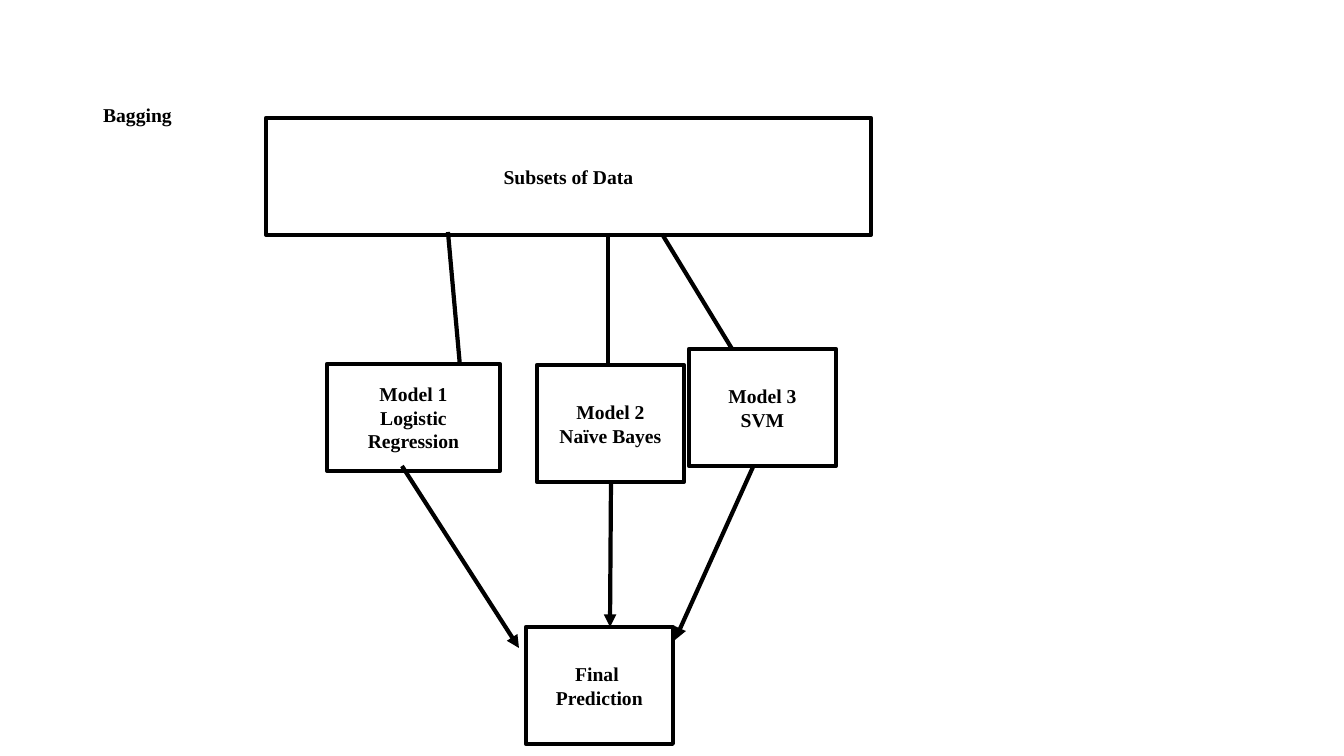
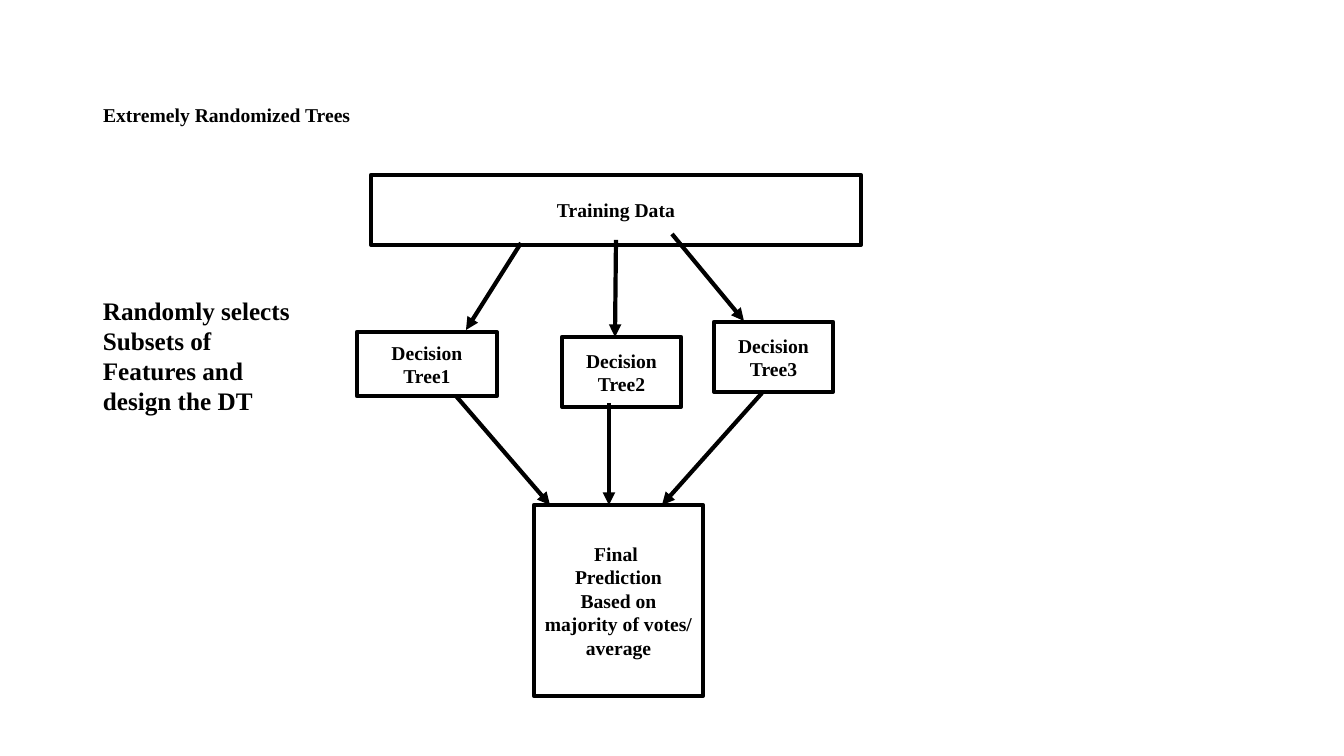
from dataclasses import dataclass

from lxml import etree
from pptx import Presentation
from pptx.dml.color import RGBColor
from pptx.enum import shapes, text
from pptx.oxml import ns
from pptx.util import Pt

PX = 914400 / 100.8  # EMU per pixel


@dataclass(frozen=True)
class Theme:
    """Colours, font and sizes shared by the slides."""
    ink: RGBColor = RGBColor(0, 0, 0)
    paper: RGBColor = RGBColor(255, 255, 255)
    font: str = "Times New Roman"
    size: int = 14
    note_size: int = 18
    line: int = 3
    title_line: int = 1
    title_box: tuple = (93, 43, 1159, 146)


theme = Theme()


def emu(*pixels):
    """Turn pixel lengths into whole EMU."""
    return [round(v * PX) for v in pixels]


def write(sp, words, size=theme.size, align=text.PP_ALIGN.CENTER,
          anchor=text.MSO_ANCHOR.MIDDLE, spacing=1.0):
    """Fill a shape with bold text, one paragraph per line of words."""
    tf = sp.text_frame
    tf.text = words
    tf.word_wrap = True
    tf.auto_size = text.MSO_AUTO_SIZE.NONE
    tf.vertical_anchor = anchor
    for p in tf.paragraphs:
        p.alignment = align
        p.line_spacing = spacing
        for r in p.runs:
            r.font.name = theme.font
            r.font.size = Pt(size)
            r.font.bold = True
            r.font.color.rgb = theme.ink


# Boxes are (left, top, width, height); arrows are (x1, y1, x2, y2).
# Arrows into the models lie beneath the model boxes, the others on top.
diagrams = [
    dict(
        title="Bagging",
        data=("Subsets of Data", (266, 118, 605, 117)),
        arrows_in=[(448, 232, 461, 377), (608, 233, 608, 394), (662, 234, 751, 380)],
        models=[("Model 1\nLogistic\nRegression", (327, 364, 173, 107)),
                ("Model 2\nNaïve Bayes", (537, 365, 147, 117)),
                ("Model 3\nSVM", (689, 349, 147, 117))],
        final=("Final \nPrediction", (526, 627, 147, 117)),
        arrows_out=[(402, 466, 519, 648), (611, 482, 610, 627), (753, 467, 675, 640)],
        notes=[],
    ),
    dict(
        title="Extremely Randomized Trees",
        data=("Training Data", (371, 175, 490, 70)),
        arrows_in=[(521, 243, 466, 330), (616, 240, 615, 337), (672, 234, 744, 321)],
        models=[("Decision Tree1", (357, 332, 140, 64)),
                ("Decision Tree2", (562, 337, 119, 70)),
                ("Decision Tree3", (714, 322, 119, 70))],
        final=("Final \nPrediction\nBased on majority of votes/ average", (534, 505, 169, 191)),
        arrows_out=[(456, 396, 550, 505), (609, 403, 609, 505), (762, 393, 662, 505)],
        notes=[("Randomly selects Subsets of Features and design the DT", (93, 290, 218, 163))],
    ),
]

prs = Presentation()
prs.slide_width, prs.slide_height = emu(1344, 756)
title_only = prs.slide_layouts[5]

for diagram in diagrams:
    s = prs.slides.add_slide(title_only)
    title = s.shapes.title
    title.left, title.top, title.width, title.height = emu(*theme.title_box)
    title.fill.solid()
    title.fill.fore_color.rgb = theme.paper
    title.line.color.rgb = theme.paper
    title.line.width = Pt(theme.title_line)
    write(title, diagram["title"], align=text.PP_ALIGN.LEFT, spacing=0.9)

    layers = [
        ([diagram["data"]], diagram["arrows_in"]),
        (diagram["models"] + [diagram["final"]], diagram["arrows_out"]),
    ]
    for boxes, arrows in layers:
        for words, box in boxes:
            sp = s.shapes.add_shape(shapes.MSO_SHAPE.RECTANGLE, *emu(*box))
            sp.shadow.inherit = False
            sp.fill.solid()
            sp.fill.fore_color.rgb = theme.paper
            sp.line.color.rgb = theme.ink
            sp.line.width = Pt(theme.line)
            write(sp, words)
        for ends in arrows:
            arrow = s.shapes.add_connector(shapes.MSO_CONNECTOR.STRAIGHT, *emu(*ends))
            arrow.line.color.rgb = theme.ink
            arrow.line.width = Pt(theme.line)
            etree.SubElement(arrow.line._get_or_add_ln(), ns.qn("a:tailEnd"), type="triangle")
            etree.SubElement(arrow._element.spPr, ns.qn("a:effectLst"))

    for words, box in diagram["notes"]:
        note = s.shapes.add_textbox(*emu(*box))
        write(note, words, size=theme.note_size, align=text.PP_ALIGN.LEFT,
              anchor=text.MSO_ANCHOR.TOP)

prs.save("out.pptx")
